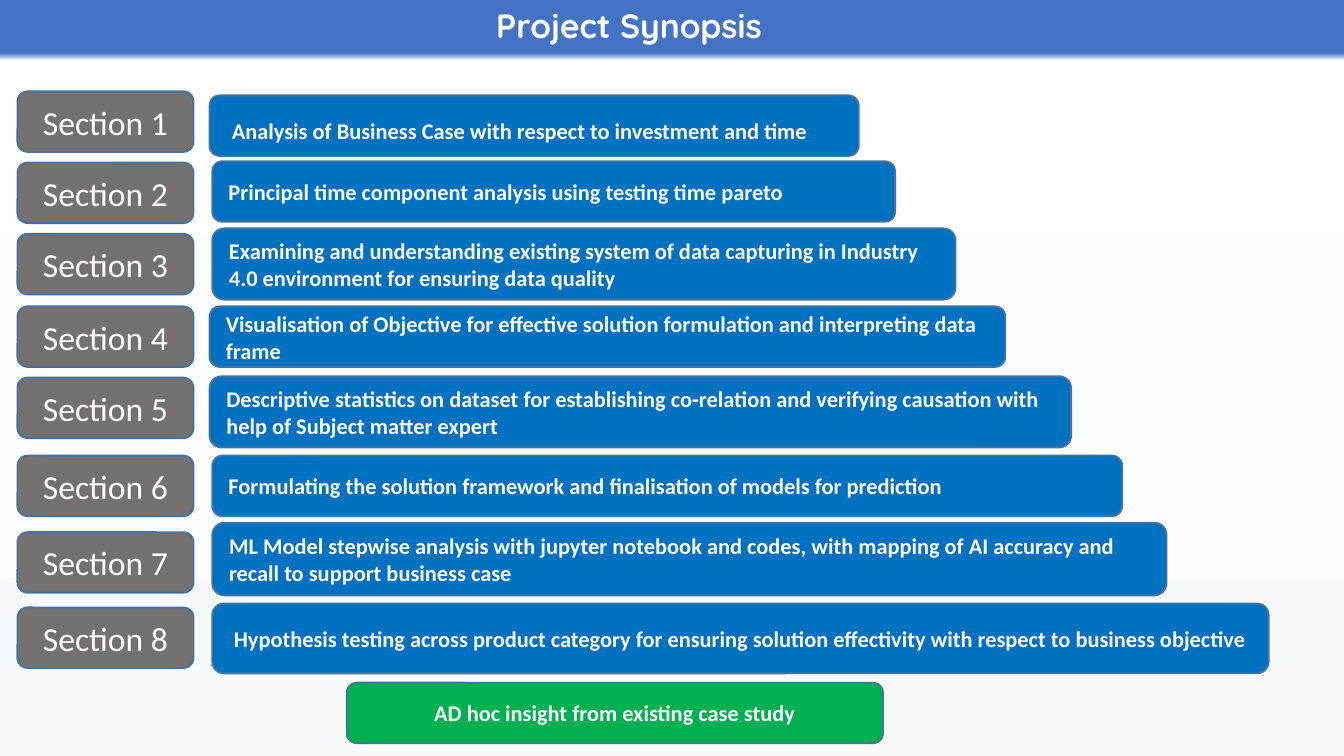
from lxml import etree
from pptx import Presentation, util as u
from pptx.dml.color import RGBColor
from pptx.enum import shapes, text
from pptx.oxml.ns import qn

C = {"band": "4472C4", "white": "FFFFFF", "mist": "F7FAFD", "bar": "0070C0",
     "section": "767171", "case": "00B050", "edge": "43739E"}

prs = Presentation()
prs.slide_width = u.Inches(10)
prs.slide_height = prs.slide_width * 9 // 16
s = prs.slides.add_slide(prs.slide_layouts[5])
G = prs.slide_width / 100  # square grid, 100 columns wide


def style(p, size, bold=False, font="Calibri"):
    for r in p.runs:
        r.font.name, r.font.size, r.font.bold = font, u.Pt(size), bold
        r.font.color.rgb = RGBColor.from_string(C["white"])


def add_box(x, y, w, h, fill, label, size, bold, align):
    sp = s.shapes.add_shape(shapes.MSO_SHAPE.ROUNDED_RECTANGLE,
                            *(round(v * G) for v in (x, y, w, h)))
    sp.shadow.inherit = False
    sp.fill.solid()
    sp.fill.fore_color.rgb = RGBColor.from_string(C[fill])
    sp.line.color.rgb = RGBColor.from_string(C["edge"])
    sp.line.width = u.Pt(1)
    tf = sp.text_frame
    tf.word_wrap = True
    tf.vertical_anchor = text.MSO_ANCHOR.MIDDLE
    p = tf.paragraphs[0]
    p.text, p.alignment = label, align
    style(p, size, bold)
    return p


# Background: blue header band fading to near white
fill = s.background.fill
fill.gradient()
fill.gradient_angle = 270
stops = next(s._element.iter(qn("a:gsLst")))
for old in list(stops):
    stops.remove(old)
for pos, name in [(0, "band"), (7, "band"), (8, "white"), (100, "mist")]:
    gs = etree.SubElement(stops, qn("a:gs"), pos=str(pos * 1000))
    etree.SubElement(gs, qn("a:srgbClr"), val=C[name])

# Title
sp = s.shapes.title
sp.left, sp.top, sp.width, sp.height = (round(v * G) for v in (21.8, -0.1, 50, 4))
tf = sp.text_frame
tf.text = "Project Synopsis"
tf.auto_size = text.MSO_AUTO_SIZE.NONE
tf.vertical_anchor = text.MSO_ANCHOR.TOP
tf.paragraphs[0].alignment = text.PP_ALIGN.CENTER
style(tf.paragraphs[0], 18, True, "Quicksand")

# Sections: label top, then bar left, top, width, height (grid units)
LEFT, CENTER = text.PP_ALIGN.LEFT, text.PP_ALIGN.CENTER
rows = [
    (6.8, 15.6, 7.1, 48.3, 4.5, CENTER,
     "Analysis of Business Case with respect to investment and time"),
    (12.1, 15.8, 12, 50.8, 4.5, LEFT,
     "Principal time component analysis using testing time pareto"),
    (17.4, 15.8, 17, 55.3, 5.3, LEFT,
     "Examining and understanding existing system of data capturing in Industry "
     "4.0 environment for ensuring data quality"),
    (22.8, 15.6, 22.8, 59.2, 4.5, LEFT,
     "Visualisation of Objective for effective solution formulation and "
     "interpreting data frame"),
    (28.1, 15.6, 28, 64.1, 5.3, LEFT,
     "Descriptive statistics on dataset for establishing co-relation and "
     "verifying causation with help of Subject matter expert"),
    (33.9, 15.8, 33.9, 67.7, 4.5, LEFT,
     "Formulating the solution framework and finalisation of models for prediction"),
    (39.6, 15.8, 38.9, 71, 5.4, LEFT,
     "ML Model stepwise analysis with jupyter notebook and codes, with mapping "
     "of AI accuracy and recall to support business case"),
    (45.2, 15.8, 44.9, 78.6, 5.2, CENTER,
     "Hypothesis testing across product category for ensuring solution "
     "effectivity with respect to business objective"),
]
for n, (label_y, x, y, w, h, align, label) in enumerate(rows, 1):
    p = add_box(x, y, w, h, "bar", label, 12, True, align)
    if n == 1:  # the first bar ends with a larger tab
        r = p.add_run()
        r.text = "\t"
        r.font.size = u.Pt(18)
    add_box(1.3, label_y, 13.1, 4.5, "section", f"Section {n}", 18, False, CENTER)

# Closing case study
add_box(25.8, 50.8, 39.9, 4.5, "case", "AD hoc insight from existing case study",
        12, True, CENTER)

prs.save("out.pptx")
